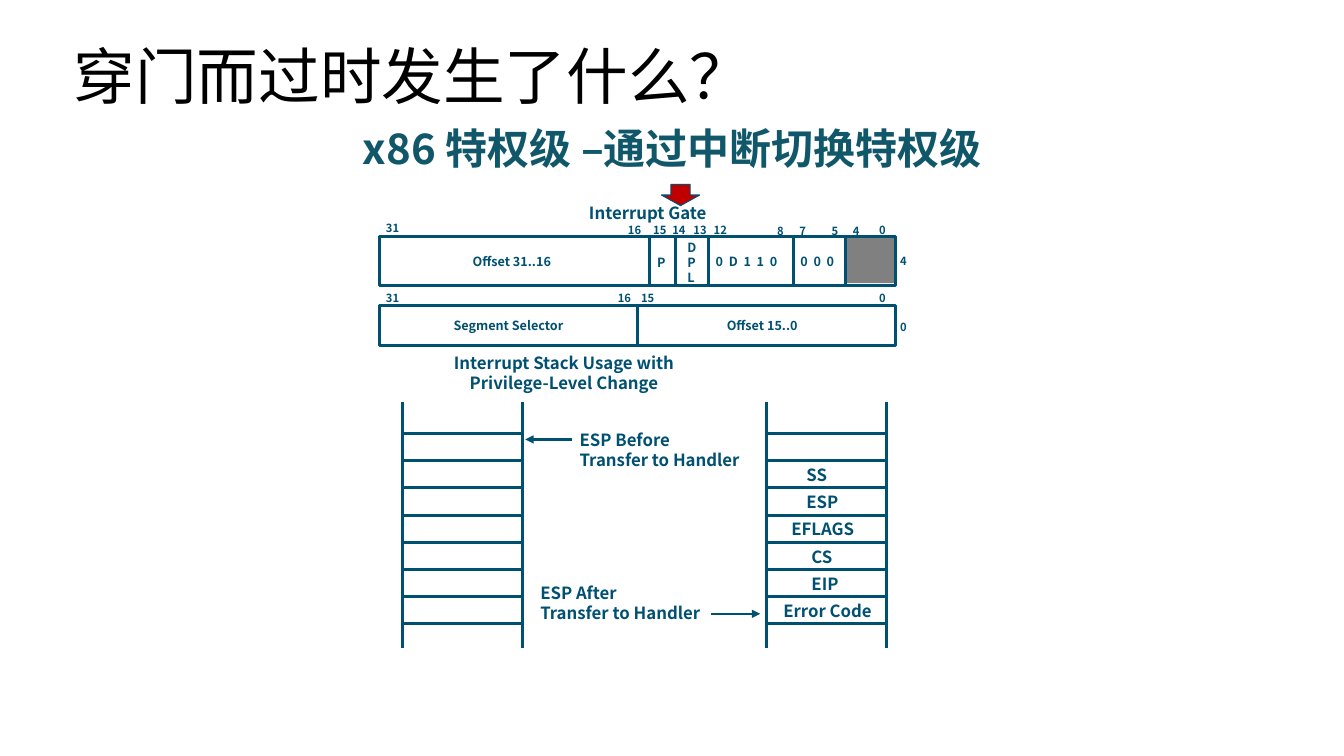
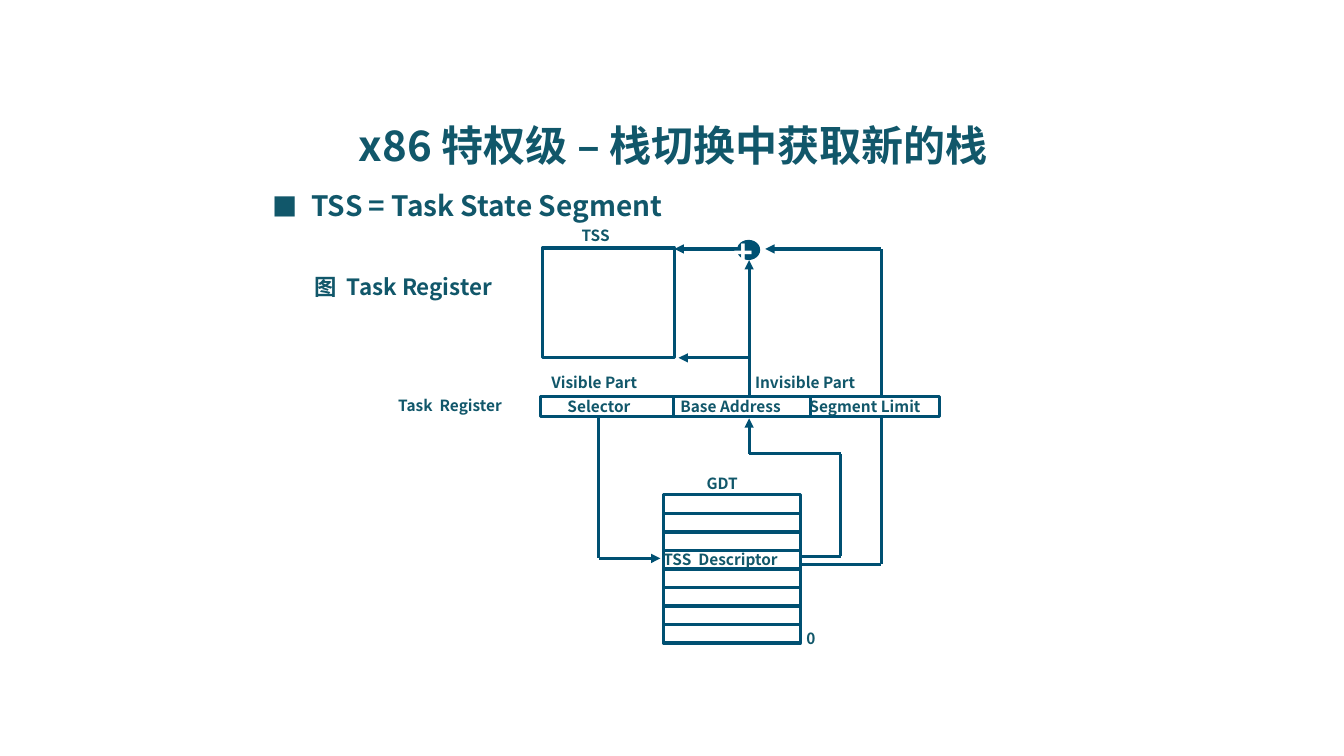
from itertools import pairwise

from lxml.etree import SubElement
from pptx import Presentation
from pptx.dml.color import RGBColor
from pptx.enum.shapes import MSO_CONNECTOR as CONNECTOR, MSO_SHAPE as SHAPE
from pptx.enum.text import MSO_ANCHOR as ANCHOR, MSO_AUTO_SIZE as AUTO_SIZE, PP_ALIGN as ALIGN
from pptx.oxml.ns import qn
from pptx.util import Inches, Pt

FONT = "Noto Sans CJK SC"
BULLET_FONT = "Noto Sans CJK JP"
INK = "005072"
TEAL = "11576A"
BLACK = "000000"
WHITE = "FFFFFF"
GRAY = "808080"
RED = "C00000"
HEADING_SIZE = 30
color = RGBColor.from_string


def write(shape, box, text, size, ink=INK, align=ALIGN.LEFT, spacing=None, wrap=True, bold=True,
          anchor=ANCHOR.TOP, fit=AUTO_SIZE.SHAPE_TO_FIT_TEXT):
    shape.left, shape.top, shape.width, shape.height = map(Inches, box)
    frame = shape.text_frame
    frame.word_wrap = wrap
    frame.auto_size = fit
    frame.vertical_anchor = anchor
    for index, line in enumerate(text.split("\n")):
        paragraph = frame.add_paragraph() if index else frame.paragraphs[0]
        paragraph.alignment = align
        if spacing:
            paragraph.line_spacing = spacing
        run = paragraph.add_run()
        run.text = line
        run.font.size = Pt(size)
        run.font.bold = bold
        run.font.color.rgb = color(ink)
        run.font.name = FONT
        SubElement(run.font._element, qn("a:ea"), typeface=FONT)
    return frame


def rule(shapes, start, end, width=2.25, arrow=False):
    line = shapes.add_connector(CONNECTOR.STRAIGHT, *map(Inches, start + end))
    line.line.color.rgb = color(INK)
    line.line.width = Pt(width)
    if arrow:
        SubElement(line.line._get_or_add_ln(), qn("a:tailEnd"), type="triangle")
    SubElement(line._element.spPr, qn("a:effectLst"))
    return line


deck = Presentation()
deck.slide_width = Inches(13.33)
deck.slide_height = Inches(7.5)
title_only = deck.slide_layouts[5]
gate_slide = deck.slides.add_slide(title_only)
tss_slide = deck.slides.add_slide(title_only)
gate = gate_slide.shapes
tss = tss_slide.shapes

write(gate.title, (0.63, 0.06, 11.5, 1.45), "穿门而过时发生了什么？", 44, BLACK,
      spacing=0.9, bold=False, anchor=ANCHOR.MIDDLE, fit=AUTO_SIZE.NONE)
write(gate.add_textbox(0, 0, 0, 0), (1.67, 1.17, 10, 0.61), "x86 特权级 –通过中断切换特权级",
      HEADING_SIZE, TEAL, ALIGN.CENTER)
write(tss.title, (3.46, 1.17, 7.64, 0.58), "x86 特权级 – 栈切换中获取新的栈", HEADING_SIZE, TEAL,
      spacing=0.95)

boxes = []
for shapes, kind, place, fill, outline in [
    (gate, SHAPE.RECTANGLE, (8.4, 2.34, 0.47, 0.47), GRAY, None),
    (gate, SHAPE.RECTANGLE, (3.76, 2.35, 5.12, 0.48), None, 2.25),
    (gate, SHAPE.RECTANGLE, (3.76, 3.03, 5.12, 0.4), None, 2.25),
    (gate, SHAPE.DOWN_ARROW, (6.56, 1.83, 0.38, 0.21), RED, 0.75),
    (tss, SHAPE.RECTANGLE, (5.36, 3.93, 3.96, 0.2), None, 2.25),
    (tss, SHAPE.RECTANGLE, (6.58, 4.91, 1.36, 1.47), None, 2.25),
    (tss, SHAPE.RECTANGLE, (5.38, 2.46, 1.31, 1.09), None, 2.25),
    (tss, SHAPE.OVAL, (7.31, 2.38, 0.23, 0.2), INK, None),
]:
    box = shapes.add_shape(kind, *map(Inches, place))
    box.shadow.inherit = False
    if fill:
        box.fill.solid()
        box.fill.fore_color.rgb = color(fill)
    else:
        box.fill.background()
    if outline:
        box.line.color.rgb = color(INK)
        box.line.width = Pt(outline)
    else:
        box.line.fill.background()
    boxes.append(box)
low_word = boxes[2]
gdt = boxes[5]

for x in (6.44, 6.7, 7.03, 7.87, 8.39):
    rule(gate, (x, 2.35), (x, 2.83))
half = rule(gate, (6.32, 3.03), (6.32, 3.43))
half.begin_connect(low_word, 0)
half.end_connect(low_word, 2)

for text, left, top, width in [
    ("31", 3.73, 2.15, 0.46), ("16", 6.13, 2.17, 0.4), ("15", 6.38, 2.17, 0.4),
    ("14", 6.57, 2.17, 0.4), ("13", 6.78, 2.17, 0.4), ("12", 6.98, 2.17, 0.4),
    ("8", 7.61, 2.18, 0.23), ("7", 7.83, 2.18, 0.23), ("5", 8.15, 2.18, 0.23),
    ("4", 8.36, 2.18, 0.23), ("0", 8.62, 2.17, 0.33), ("4", 8.83, 2.47, 0.42),
    ("31", 3.73, 2.84, 0.46), ("16", 6.03, 2.84, 0.4), ("15", 6.26, 2.84, 0.4),
    ("0", 8.62, 2.84, 0.25), ("0", 8.83, 3.13, 0.25),
]:
    height = 0.37 if text == "31" else 0.24
    write(gate.add_textbox(0, 0, 0, 0), (left, top, width, height), text, 8)

for text, left, top, width, height in [
    ("Offset 31..16", 4.59, 2.47, 1.1, 0.25),
    ("P", 6.42, 2.48, 0.25, 0.25),
    ("D\nP\nL", 6.72, 2.33, 0.34, 0.56),
    ("0  D  1  1  0", 7, 2.47, 1.1, 0.25),
    ("0  0  0", 7.84, 2.47, 1.1, 0.25),
    ("Segment Selector", 4.4, 3.1, 1.53, 0.25),
    ("Offset 15..0", 7.11, 3.1, 1.41, 0.25),
]:
    write(gate.add_textbox(0, 0, 0, 0), (left, top, width, height), text, 9)

for left in (3.99, 7.6):
    right = left + 1.19
    for x in (left, right):
        rule(gate, (x, 3.99), (x, 6.43))
    for row in range(8):
        y = 4.3 + row * 0.27
        rule(gate, (left, y), (right, y))
rule(gate, (5.67, 4.36), (5.21, 4.36), 1.5, True)
rule(gate, (7.05, 6.09), (7.54, 6.09), 1.5, True)

for text, left, top, width, height, align, wrap in [
    ("Interrupt Gate", 5.72, 1.96, 1.41, 0.3, ALIGN.CENTER, False),
    ("Interrupt Stack Usage with\nPrivilege-Level Change", 4.36, 3.45, 2.47, 0.5, ALIGN.CENTER, False),
    ("ESP Before\nTransfer to Handler", 5.65, 4.21, 1.85, 0.5, ALIGN.LEFT, False),
    ("ESP After\nTransfer to Handler", 5.26, 5.73, 1.85, 0.5, ALIGN.LEFT, False),
]:
    write(gate.add_textbox(0, 0, 0, 0), (left, top, width, height), text, 12, align=align, wrap=wrap)

for row, (text, left, width) in enumerate([
    ("SS", 7.9, 0.46), ("ESP", 7.9, 0.56), ("EFLAGS", 7.75, 0.93),
    ("CS", 7.95, 0.47), ("EIP", 7.95, 0.52), ("Error Code", 7.67, 1.11),
]):
    write(gate.add_textbox(0, 0, 0, 0), (left, 4.56 + row * 0.27, width, 0.3), text, 12, wrap=False)

definition = write(tss.add_textbox(0, 0, 0, 0), (2.6, 1.84, 4.61, 0.42), "TSS = Task State Segment",
                   20, TEAL, spacing=0.95)
bullet = definition.paragraphs[0]._p.get_or_add_pPr()
bullet.set("marL", str(Inches(0.39)))
bullet.set("indent", str(-Inches(0.39)))
SubElement(bullet, qn("a:buSzPct"), val="90000")
SubElement(bullet, qn("a:buFont"), typeface=BULLET_FONT)
SubElement(bullet, qn("a:buChar"), char="■")

for x in (6.68, 8.04):
    rule(tss, (x, 3.93), (x, 4.13))
for row in range(1, 8):
    y = 4.91 + row * 1.47 / 8
    divider = rule(tss, (6.58, y), (7.94, y))
    if row == 4:
        divider.begin_connect(gdt, 1)
        divider.end_connect(gdt, 3)

for arrow, route in [
    (True, [(5.94, 4.12), (5.94, 5.54), (6.55, 5.54)]),
    (True, [(7.95, 5.52), (8.34, 5.52), (8.34, 4.5), (7.43, 4.5), (7.43, 4.15)]),
    (False, [(7.95, 5.6), (8.74, 5.6), (8.74, 4.13)]),
    (True, [(8.74, 3.93), (8.74, 2.47), (7.59, 2.47)]),
    (True, [(7.43, 3.93), (7.43, 2.58)]),
    (True, [(7.43, 3.55), (6.73, 3.55)]),
    (True, [(7.32, 2.47), (6.69, 2.47)]),
]:
    for start, end in pairwise(route):
        rule(tss, start, end, arrow=arrow and end == route[-1])

write(tss.add_textbox(0, 0, 0, 0), (7.18, 2.25, 0.53, 0.5), "+", 24, WHITE)
write(tss.add_textbox(0, 0, 0, 0), (3.02, 2.68, 2.08, 0.36), "图  Task Register", 16, TEAL, spacing=0.95)
for text, left, top, width in [
    ("TSS", 5.67, 2.21, 0.81),
    ("Visible Part", 5.37, 3.67, 1.34),
    ("Invisible Part", 7.39, 3.67, 1.87),
    ("Task  Register", 3.85, 3.89, 1.56),
    ("Selector", 5.53, 3.9, 1.34),
    ("Base Address", 6.65, 3.9, 1.96),
    ("Segment Limit", 7.93, 3.9, 1.96),
    ("GDT", 6.91, 4.67, 0.81),
    ("TSS  Descriptor", 6.48, 5.42, 1.68),
    ("0", 7.9, 6.21, 0.46),
]:
    write(tss.add_textbox(0, 0, 0, 0), (left, top, width, 0.28), text, 11, TEAL, spacing=0.95)

deck.save("out.pptx")
